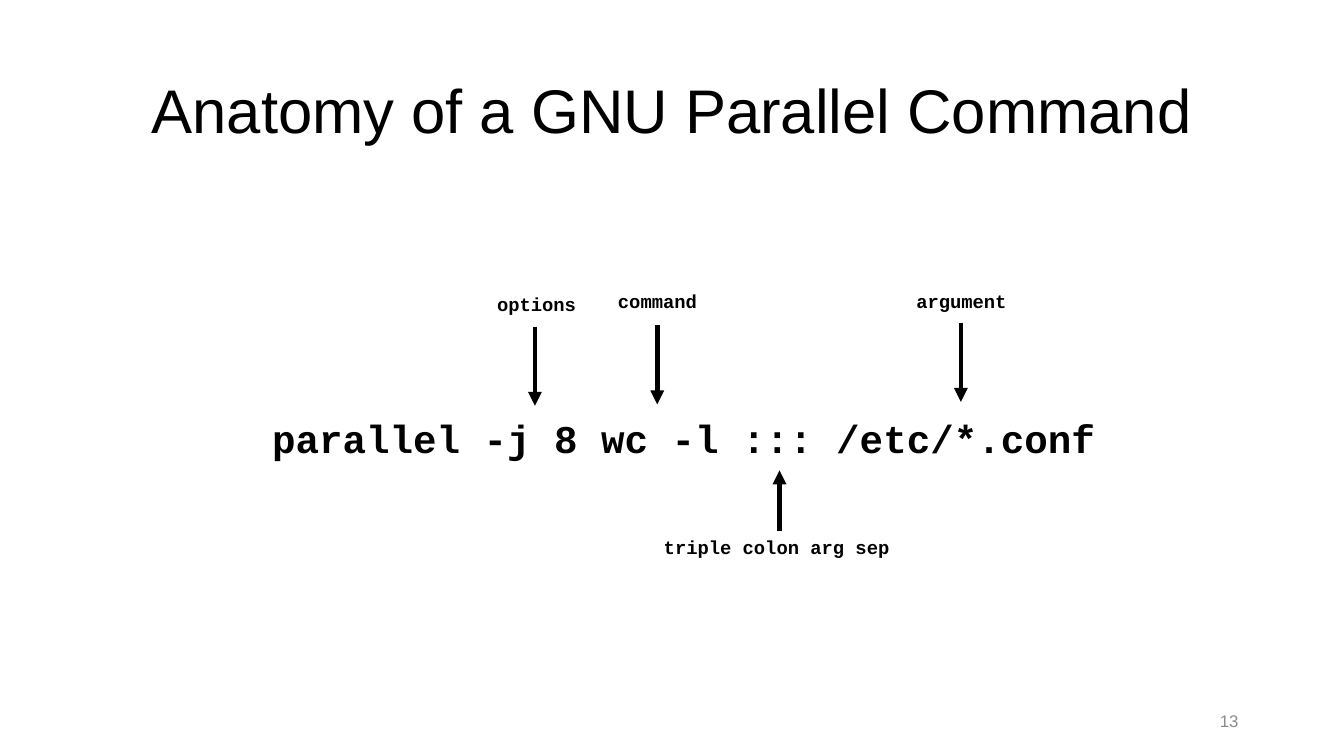
"""Build a slide that labels the parts of a GNU Parallel command."""
from lxml.etree import SubElement
from pptx import Presentation
from pptx.dml.color import RGBColor
from pptx.enum.shapes import MSO_CONNECTOR
from pptx.enum.text import MSO_ANCHOR, MSO_AUTO_SIZE, PP_ALIGN
from pptx.oxml.ns import qn
from pptx.util import Pt

COLORS = {"ink": "000000", "number": "8C8C8C"}
SANS, MONO = "Arial", "Courier New"
TITLE = "Anatomy of a GNU Parallel Command"
COMMAND = " parallel -j 8 wc -l ::: /etc/*.conf"
PAGE_NUMBER = "13"
MARGIN, CONTENT_WIDTH, LABEL_HEIGHT = 49.5, 621, 19.5

# label, (left, top, width), arrow x, arrow start, arrow end
CALLOUTS = [
    ("options", (259.2, 153.4, 57.6), 286.6, 175, 217.4),
    ("command", (324, 151.9, 59.8), 352.1, 174.2, 216.7),
    ("argument", (483.8, 151.9, 64.1), 514.8, 172.8, 215.3),
    ("triple colon arg sep", (348.5, 283.7, 138.2), 417.6, 284.4, 252),
]


def add_text(slide, text, box, font, size, color="ink", bold=False,
             align=PP_ALIGN.CENTER, anchor=MSO_ANCHOR.MIDDLE, wrap=True):
    frame = slide.shapes.add_textbox(*map(Pt, box)).text_frame
    frame.text = text
    frame.word_wrap = wrap
    frame.vertical_anchor = anchor
    paragraph = frame.paragraphs[0]
    paragraph.alignment = align
    run_font = paragraph.runs[0].font
    run_font.name, run_font.size, run_font.bold = font, Pt(size), bold
    run_font.color.rgb = RGBColor.from_string(COLORS[color])
    return frame


def add_arrow(slide, x, start, end):
    arrow = slide.shapes.add_connector(
        MSO_CONNECTOR.STRAIGHT, Pt(x), Pt(start), Pt(x), Pt(end))
    arrow.line.width = Pt(2.5)
    arrow.line.color.rgb = RGBColor.from_string(COLORS["ink"])
    SubElement(arrow.line._get_or_add_ln(), qn("a:tailEnd"), type="triangle")
    SubElement(arrow._element.spPr, qn("a:effectLst"))


def main():
    deck = Presentation()
    deck.slide_width, deck.slide_height = Pt(720), Pt(405)
    slide = deck.slides.add_slide(deck.slide_layouts[6])

    title = add_text(slide, TITLE, (MARGIN, 21.6, CONTENT_WIDTH, 78.3), SANS, 33)
    command = add_text(slide, COMMAND, (MARGIN, 107.8, CONTENT_WIDTH, 257),
                       MONO, 21, bold=True)
    for frame in (title, command):
        frame.paragraphs[0].line_spacing = 0.9
    command.paragraphs[0].space_before = Pt(7.5)
    add_text(slide, PAGE_NUMBER, (508.5, 375.4, 162, 21.6), SANS, 9, "number",
             align=PP_ALIGN.RIGHT)

    for label, box, x, start, end in CALLOUTS:
        add_arrow(slide, x, start, end)
        frame = add_text(slide, label, (*box, LABEL_HEIGHT), MONO, 10.1, bold=True,
                         align=PP_ALIGN.LEFT, anchor=MSO_ANCHOR.TOP, wrap=False)
        frame.auto_size = MSO_AUTO_SIZE.SHAPE_TO_FIT_TEXT

    deck.save("out.pptx")


if __name__ == "__main__":
    main()
